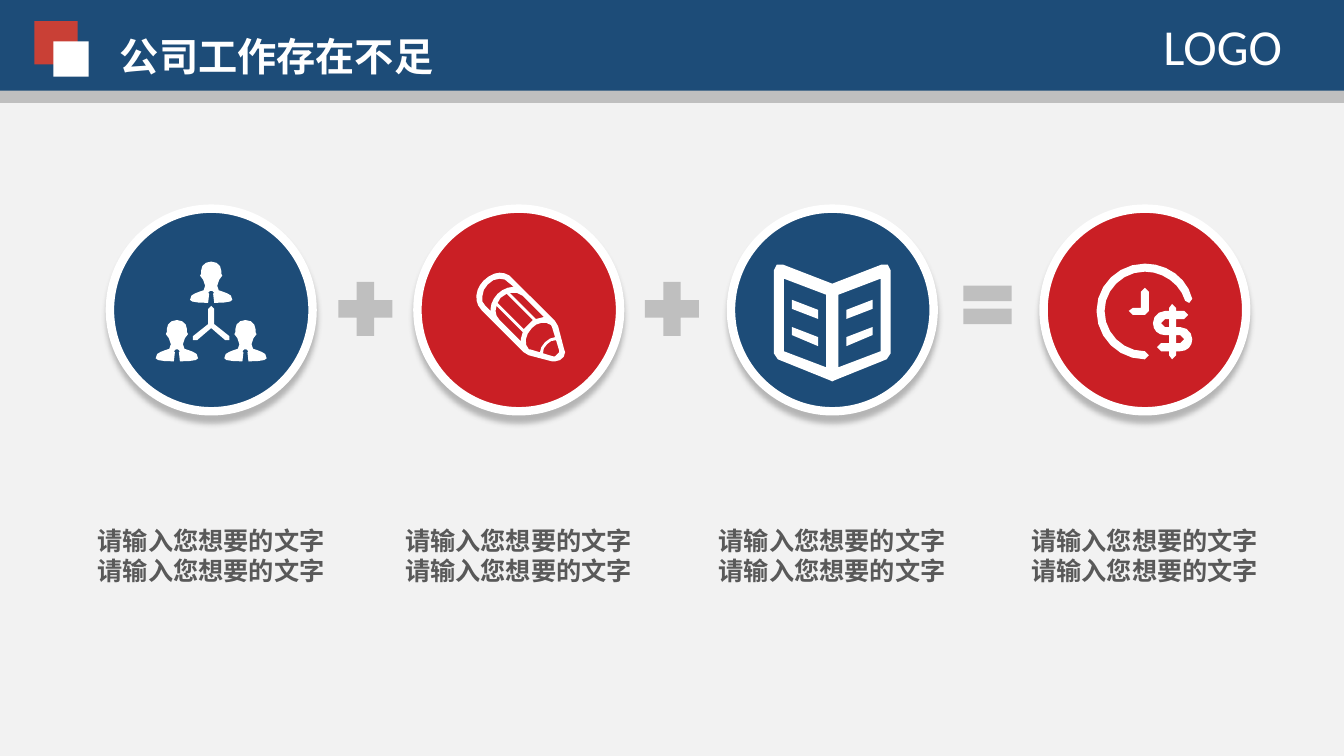
from dataclasses import dataclass
from math import dist

from lxml import etree
from pptx import Presentation
from pptx.dml.color import RGBColor
from pptx.enum import shapes, text
from pptx.oxml import ns
from pptx.util import Inches, Pt


@dataclass(frozen=True)
class Theme:
    background: str = "F2F2F2"
    blue: str = "1D4C78"
    red: str = "CA1F25"
    accent: str = "C94036"
    grey: str = "BFBFBF"
    dark: str = "595959"
    white: str = "FFFFFF"
    cjk: str = "Noto Sans CJK SC"
    latin: str = "Calibri"
    title_size: int = 28
    logo_size: int = 36
    caption_size: int = 18


THEME = Theme()
SHAPE = shapes.MSO_SHAPE
CAPTION = ["请输入您想要的文字"] * 2
CIRCLE_SIZE, CIRCLE_TOP = 2.01, 2.07
CAPTION_WIDTH = 2.45

# Icon outlines in hundredths of an inch from the circle's centre.
# Between commas: two numbers are a line, six numbers a cubic curve.
PERSON_HALF = ("0 0, 6 0 10 4 10 9, 10 12, 11 14, 11 17 8 18 8 18, 8 18 8 22 6 24, "
               "5 29 9 29 12 30, 16 32 21 32 21 38, 21 40 14 41 3 41, 2 32, 3 31, 1 29")
BRANCH_HALF = "0 -4, 2 -4 3 -3 3 -1, 3 14, 18 26, 19 27 19 29 18 30, 17 31 16 31 14 30, 0 18"
COVER_HALF = ("0 -26, 49 -45, 51 -46 53 -46 55 -45, 57 -43 58 -42 58 -39, 58 43, "
              "58 46 57 48 54 49, 2 70, 0 71")
PAGE_PARTS = ["48 41, 6 57, 6 -15, 48 -31",
              "40 17, 14 27, 14 36, 40 25",
              "40 -10, 14 0, 14 9, 40 -1"]
PENCIL_PARTS = [
    "-35 -29, -30 -34 -24 -37 -19 -37, -14 -37 -9 -35 -6 -31, 36 11, 37 12 38 14 39 16, 45 39, "
    "46 42, 46 47 41 51 36 51, 33 51, 10 45, 8 44 6 44 5 42, -37 0, "
    "-45 -8 -43 -21 -35 -29",
    "2 29, 2 27 3 24 4 22, -22 -4, -24 1 -23 6 -19 10, 2 31",
    "5 19, 6 18 7 16 9 15, 11 13 12 12 14 10, -12 -16, -14 -15 -16 -14 -18 -12, "
    "-19 -10 -20 -9 -21 -7",
    "17 9, 20 8 22 7 25 7, 4 -14, 0 -17 -4 -18 -9 -17",
    "34 46, 36 46, 38 46 40 44 40 42, 40 40, 37 30, 34 30 30 31 28 34, 25 36 24 40 24 43",
    "21 42, 21 39 23 35 26 32, 29 29 33 27 36 27, 33 17, 32 15, "
    "27 11 18 12 13 18, 6 25 5 34 10 39, 11 39",
    "-33 -4, -28 1, -28 -1, -28 -6 -25 -12 -21 -16, -17 -20 -11 -23 -5 -23, -10 -27, "
    "-12 -30 -15 -31 -19 -31, -23 -31 -28 -29 -31 -25, -34 -22 -36 -18 -36 -14, "
    "-37 -10 -36 -6 -33 -4",
]
CLOCK_PARTS = [
    "31 25, 31 33, 35 33, 38 33 39 31 39 29, 39 27 38 25 35 25",
    "20 9, 17 9 16 11 16 13, 16 16 17 17 20 17, 24 17, 24 9",
    "27 -6, 30 -6 31 -5 31 -2, 31 1, 39 1, 42 1 43 3 43 5, 43 8 42 9 39 9, 31 9, 31 17, 35 17, "
    "42 17 47 23 47 29, 47 36 42 41 35 41, 31 41, 31 45, 31 47 30 49 27 49, 25 49 24 47 24 45, "
    "24 41, 16 41, 13 41 12 39 12 37, 12 35 13 33 16 33, 24 33, 24 25, 20 25, 13 25 8 20 8 13, "
    "8 7 13 1 20 1, 24 1, 24 -2, 24 -5 25 -6 27 -6",
    "0 -22, 2 -22 4 -21 4 -18, 4 1, 4 4 2 5 0 5, -12 5, -14 5 -16 4 -16 1, "
    "-16 -1 -14 -2 -12 -2, -4 -2, -4 -18, -4 -21 -2 -22 0 -22",
    "0 -46, 22 -46 42 -32 47 -11, 48 -9 47 -7 44 -7, 42 -6 40 -7 40 -9, 35 -26 18 -38 0 -38, "
    "-22 -38 -40 -20 -40 1, -40 23 -22 41 0 41, 2 41 4 43 4 45, 4 47 2 49 0 49, "
    "-26 49 -48 28 -48 1, -48 -25 -26 -46 0 -46",
]


# Outline geometry: longer curves get more steps
def outline(description):
    points = []
    for segment in description.split(","):
        values = [float(value) for value in segment.split()]
        if len(values) == 2:
            points.append(tuple(values))
            continue
        controls = [points[-1], *zip(values[::2], values[1::2])]
        length = sum(map(dist, controls, controls[1:]))
        steps = min(6, max(1, round(length / 6)))
        for step in range(1, steps + 1):
            t = step / steps
            weights = ((1 - t) ** 3, 3 * t * (1 - t) ** 2, 3 * t * t * (1 - t), t ** 3)
            points.append(tuple(sum(w * c[axis] for w, c in zip(weights, controls))
                                for axis in (0, 1)))
    return points


def mirrored(points):
    return [(-x, y) for x, y in reversed(points)]


def symmetric(description):
    half = outline(description)
    return half + mirrored(half)


def people_icon():
    person = symmetric(PERSON_HALF)
    seats = [(0, -48), (-34, 10), (34, 10)]
    return [symmetric(BRANCH_HALF)] + [[(x + dx, y + dy) for x, y in person] for dx, dy in seats]


def book_icon():
    right = [outline(part) for part in PAGE_PARTS]
    return [symmetric(COVER_HALF), *right, *map(mirrored, right)]


# Slide elements
def add_block(slide, kind, left, top, width, height, color):
    block = slide.shapes.add_shape(kind, *map(Inches, (left, top, width, height)))
    block.shadow.inherit = False
    block.fill.solid()
    block.fill.fore_color.rgb = RGBColor.from_string(color)
    block.line.fill.background()
    return block


def add_circle(slide, left, color):
    circle = add_block(slide, SHAPE.OVAL, left, CIRCLE_TOP, CIRCLE_SIZE, CIRCLE_SIZE, color)
    circle.line.color.rgb = RGBColor.from_string(THEME.white)
    circle.line.width = Pt(6)
    effects = circle._element.spPr.find(ns.qn("a:effectLst"))
    shadow = etree.SubElement(effects, ns.qn("a:outerShdw"), blurRad=str(Pt(4)), dist=str(Pt(5)),
                              dir=str(90 * 60000), algn="t", rotWithShape="0")
    tint = etree.SubElement(shadow, ns.qn("a:srgbClr"), val=THEME.dark)
    etree.SubElement(tint, ns.qn("a:alpha"), val="40000")


def add_icon(slide, center_x, center_y, contours):
    unit = Inches(0.01)
    builder = None
    for contour in contours:
        (x, y), *rest = [(px * unit, py * unit) for px, py in contour]
        if builder is None:
            builder = slide.shapes.build_freeform(x, y)
        else:
            builder.move_to(x, y)
        builder.add_line_segments(rest, close=True)
    icon = builder.convert_to_shape(Inches(center_x), Inches(center_y))
    icon.shadow.inherit = False
    icon.fill.solid()
    icon.fill.fore_color.rgb = RGBColor.from_string(THEME.white)
    icon.line.fill.background()


def write_lines(box, lines, size, color, face, bold=False):
    frame = box.text_frame
    frame.text = "\n".join(lines)
    frame.word_wrap = False
    frame.vertical_anchor = text.MSO_ANCHOR.TOP
    for line in frame.paragraphs:
        line.alignment = text.PP_ALIGN.LEFT
        line.font.size, line.font.bold, line.font.name = Pt(size), bold, face
        line.font.color.rgb = RGBColor.from_string(color)
        defaults = line._p.pPr.find(ns.qn("a:defRPr"))
        etree.SubElement(defaults, ns.qn("a:ea"), typeface=face)


def add_text(slide, left, top, width, height, *style, **options):
    box = slide.shapes.add_textbox(*map(Inches, (left, top, width, height)))
    write_lines(box, *style, **options)


def add_header(slide):
    add_block(slide, SHAPE.RECTANGLE, 0, 0.04, 13.33, 0.98, THEME.grey)
    add_block(slide, SHAPE.RECTANGLE, 0, -0.08, 13.33, 0.98, THEME.blue)
    add_block(slide, SHAPE.RECTANGLE, 0.34, 0.21, 0.43, 0.43, THEME.accent)
    add_block(slide, SHAPE.RECTANGLE, 0.53, 0.41, 0.35, 0.35, THEME.white)
    title = slide.shapes.title
    title.left, title.top, title.width, title.height = map(Inches, (1.09, 0.27, 3.31, 0.57))
    write_lines(title, ["公司工作存在不足"], THEME.title_size, THEME.white, THEME.cjk, bold=True)
    title._element.getparent().append(title._element)  # bring in front of the bars
    add_text(slide, 11.44, 0.1, 1.45, 0.71, ["LOGO"], THEME.logo_size, THEME.white, THEME.latin)


def main():
    deck = Presentation()
    deck.slide_width, deck.slide_height = Inches(13.33), Inches(7.5)
    slide = deck.slides.add_slide(deck.slide_layouts[5])
    slide.background.fill.solid()
    slide.background.fill.fore_color.rgb = RGBColor.from_string(THEME.background)
    add_header(slide)

    # Circles with icons and captions
    steps = [(1.09, THEME.blue, people_icon()),
             (4.14, THEME.red, map(outline, PENCIL_PARTS)),
             (7.25, THEME.blue, book_icon()),
             (10.35, THEME.red, map(outline, CLOCK_PARTS))]
    for left, color, contours in steps:
        center = left + CIRCLE_SIZE / 2
        add_circle(slide, left, color)
        add_icon(slide, center, CIRCLE_TOP + CIRCLE_SIZE / 2, contours)
        add_text(slide, center - CAPTION_WIDTH / 2, 5.16, CAPTION_WIDTH, 0.71,
                 CAPTION, THEME.caption_size, THEME.dark, THEME.cjk, bold=True)

    # Operators between the circles
    for sign, left, size in [(SHAPE.MATH_PLUS, 3.26, 0.73), (SHAPE.MATH_PLUS, 6.3, 0.73),
                             (SHAPE.MATH_EQUAL, 9.47, 0.65)]:
        add_block(slide, sign, left, 2.7, size, size, THEME.grey)

    deck.save("out.pptx")


if __name__ == "__main__":
    main()
